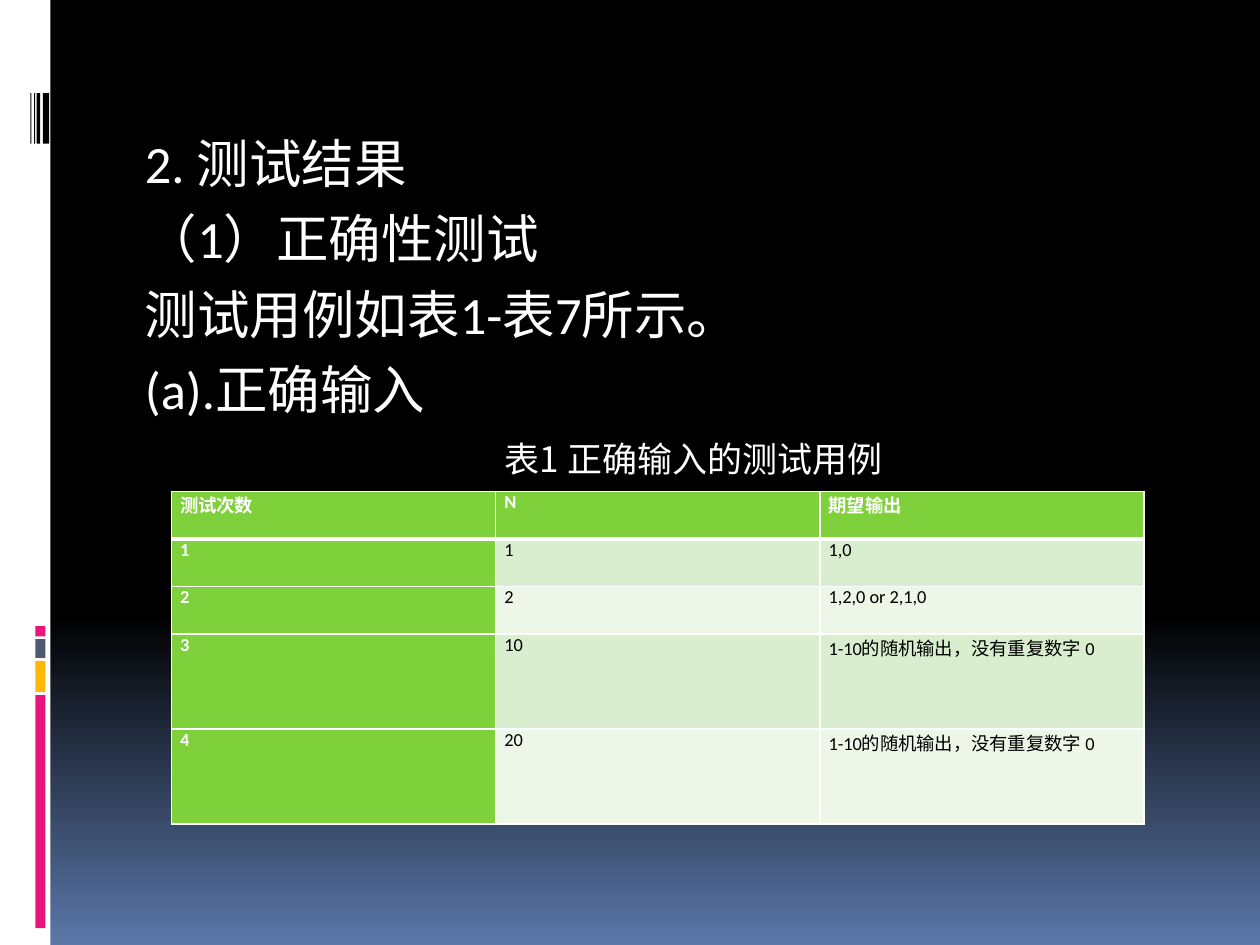
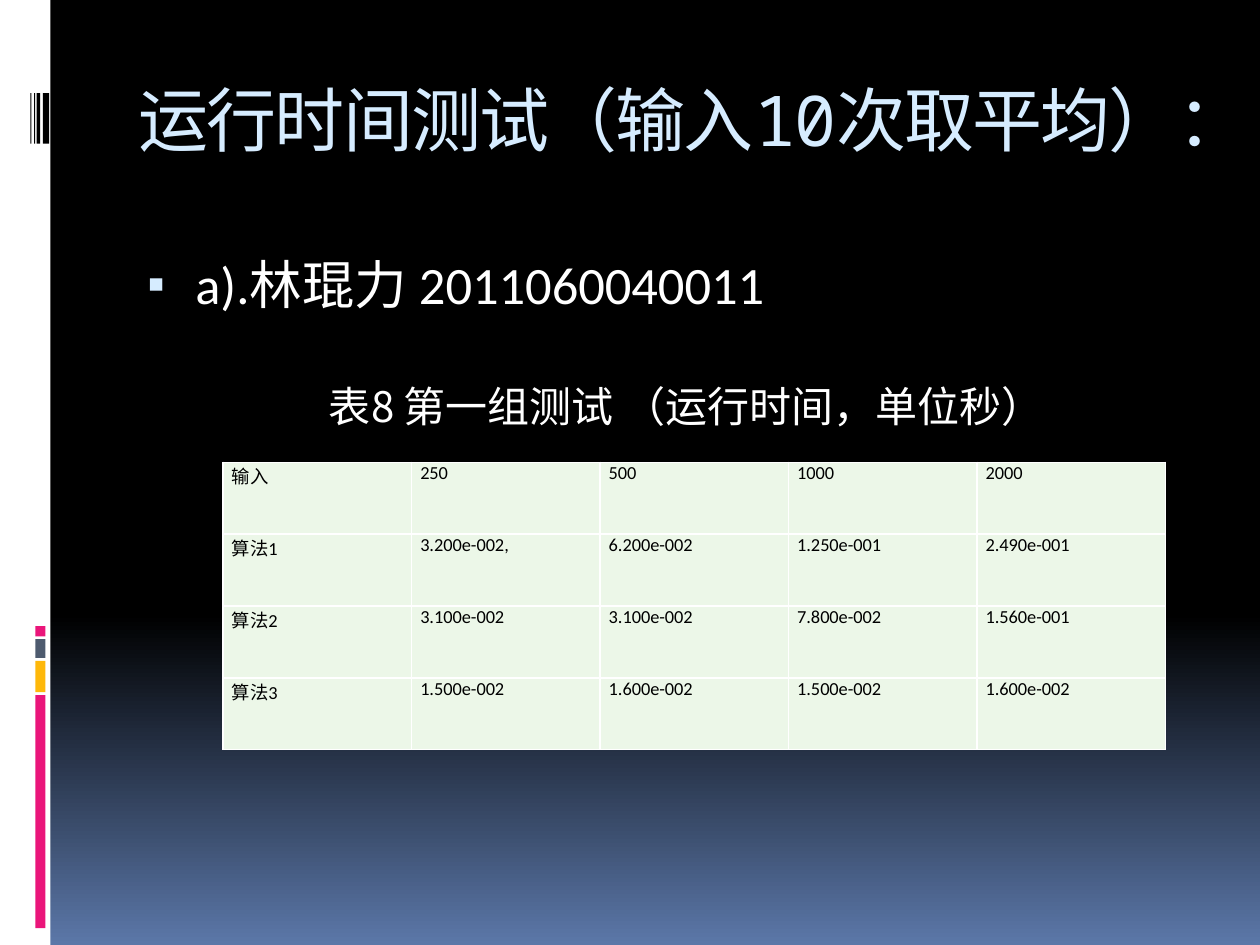
from lxml.etree import SubElement
from pptx import Presentation
from pptx.dml.color import RGBColor
from pptx.enum.shapes import MSO_SHAPE
from pptx.enum.text import MSO_ANCHOR, MSO_AUTO_SIZE, PP_ALIGN
from pptx.oxml.ns import qn
from pptx.util import Inches, Pt

WHITE, BLACK, PINK, PALE_BLUE = "FFFFFF", "000000", "EA157A", "D6ECFF"
GREEN, LIGHT_GREEN, PALE_GREEN = "7FD13B", "D8EECE", "ECF7E8"
LATIN, CHINESE, MONO = "Calibri", "Noto Sans CJK SC", "Noto Sans Mono"


def color(hex_text):
    return RGBColor.from_string(hex_text)


def format_runs(paragraph, size, hex_text, latin, east_asian, bold=False):
    for run in paragraph.runs:
        run.font.size = Pt(size)
        run.font.bold = bold
        run.font.color.rgb = color(hex_text)
        run.font.name = latin
        SubElement(run.font._element, qn("a:ea"), typeface=east_asian)


presentation = Presentation()
presentation.slide_width = Inches(10)
presentation.slide_height = Inches(7.5)
unit = presentation.slide_width / 100

master = presentation.slide_master
background = master.background.fill
background.gradient()
background.gradient_angle = 270
for stop, position, hex_text in zip(background.gradient_stops, (0.65, 1), (BLACK, "5B77A8")):
    stop.position = position
    stop.color.rgb = color(hex_text)

layout = presentation.slide_layouts[1]
result_slide = presentation.slides.add_slide(layout)
timing_slide = presentation.slides.add_slide(layout)

bands = [(0, 0, 4, 75, WHITE)]
top = 49.7
for height, hex_text in ((0.8, PINK), (1.5, "4E5B6F"), (2.5, "FEB80A"), (18.5, PINK)):
    bands.append((2.8, top, 0.8, height, hex_text))
    top += height + 0.22
for left, width in ((2.4, 0.1), (2.7, 0.1), (2.9, 0.3), (3.4, 0.5)):
    bands.append((left, 7.4, width, 4, BLACK))

for index, (left, top, width, height, hex_text) in enumerate(bands):
    band = result_slide.shapes.add_shape(
        MSO_SHAPE.RECTANGLE, *(int(unit * share) for share in (left, top, width, height)))
    band.shadow.inherit = False
    band.fill.solid()
    band.fill.fore_color.rgb = color(hex_text)
    band.line.fill.background()
    master.shapes.element.insert(2 + index, band.element)

empty_title = result_slide.shapes.title.element
empty_title.getparent().remove(empty_title)

title = timing_slide.shapes.title
title.left, title.top, title.width, title.height = (
    int(unit * share) for share in (10, 5.6, 85, 10))
title.text_frame.text = "运行时间测试（输入10次取平均）："
title.text_frame.vertical_anchor = MSO_ANCHOR.TOP
title.text_frame.auto_size = MSO_AUTO_SIZE.NONE
title_paragraph = title.text_frame.paragraphs[0]
title_paragraph.alignment = PP_ALIGN.LEFT
format_runs(title_paragraph, 40, PALE_BLUE, MONO, LATIN)
title_paragraph.runs[0].font._element.set("spc", "-100")

bodies = [
    (result_slide, 9.8, 9.9, False,
     ["2. 测试结果", "（1）正确性测试", "测试用例如表1-表7所示。", "(a).正确输入"]),
    (timing_slide, 10, 19.5, True, ["a).林琨力 2011060040011"]),
]
for slide, left, top, bulleted, lines in bodies:
    body = slide.placeholders[1]
    body.left, body.top, body.width, body.height = (
        int(unit * share) for share in (left, top, 85, 50))
    body.text_frame.text = "\n".join(lines)
    body.text_frame.auto_size = MSO_AUTO_SIZE.NONE
    for index, paragraph in enumerate(body.text_frame.paragraphs):
        paragraph.space_before = Pt(7 if index else 0)
        properties = paragraph._p.get_or_add_pPr()
        properties.set("marL", str(Inches(0.45 if bulleted else 0.07)))
        properties.set("indent", str(Inches(-0.38 if bulleted else 0)))
        if bulleted:
            bullet_color = SubElement(properties, qn("a:buClr"))
            SubElement(bullet_color, qn("a:srgbClr"), val=PALE_BLUE)
            SubElement(properties, qn("a:buSzPct"), val="95000")
            SubElement(properties, qn("a:buChar"), char="▪")
        else:
            SubElement(properties, qn("a:buNone"))
        format_runs(paragraph, 30, WHITE, LATIN, LATIN)

random_output = "1-10的随机输出，没有重复数字 0"
result_rows = [
    ["测试次数", "N", "期望输出"],
    ["1", "1", "1,0"],
    ["2", "2", "1,2,0 or 2,1,0"],
    ["3", "10", random_output],
    ["4", "20", random_output],
]
timing_rows = [
    ["输入", "250", "500", "1000", "2000"],
    ["算法1", "3.200e-002,", "6.200e-002", "1.250e-001", "2.490e-001"],
    ["算法2", "3.100e-002", "3.100e-002", "7.800e-002", "1.560e-001"],
    ["算法3", "1.500e-002", "1.600e-002", "1.500e-002", "1.600e-002"],
]
tables = [
    (result_slide, result_rows, (13.6, 39, 77.2), [3.77] * 3 + [7.54] * 2, True, PP_ALIGN.LEFT),
    (timing_slide, timing_rows, (17.7, 36.7, 74.8), [5.7] * 4, False, PP_ALIGN.JUSTIFY),
]
for slide, rows, (left, top, width), heights, highlighted, alignment in tables:
    table = slide.shapes.add_table(
        len(rows), len(rows[0]),
        *(int(unit * share) for share in (left, top, width, sum(heights)))).table
    for row, height in zip(table.rows, heights):
        row.height = int(unit * height)
    for row_index, values in enumerate(rows):
        for column_index, value in enumerate(values):
            cell = table.cell(row_index, column_index)
            cell.text_frame.text = value
            cell.margin_left = cell.margin_right = Inches(0.07)
            cell.margin_top = cell.margin_bottom = 0
            is_header = highlighted and 0 in (row_index, column_index)
            is_shaded = highlighted and row_index % 2 == 1
            for side in ("L", "R", "T", "B"):
                thick = highlighted and (row_index, side) in ((0, "B"), (1, "T"))
                border = SubElement(cell._tc.get_or_add_tcPr(), qn("a:ln" + side),
                                    w=str(Pt(3 if thick else 1)))
                SubElement(SubElement(border, qn("a:solidFill")), qn("a:srgbClr"), val=WHITE)
            cell.fill.solid()
            cell.fill.fore_color.rgb = color(
                GREEN if is_header else LIGHT_GREEN if is_shaded else PALE_GREEN)
            paragraph = cell.text_frame.paragraphs[0]
            paragraph.alignment = alignment
            format_runs(paragraph, 10.5, WHITE if is_header else BLACK, LATIN, CHINESE, is_header)

captions = [
    (result_slide, "表1 正确输入的测试用例", 20, (36.2, 34.2, 37.7, 4.4)),
    (timing_slide, "表8 第一组测试 （运行时间，单位秒）", 24, (24, 29.7, 60.9, 5)),
]
for slide, text, size, place in captions:
    caption = slide.shapes.add_textbox(*(int(unit * share) for share in place))
    caption.text_frame.text = text
    caption.text_frame.word_wrap = False
    caption.text_frame.auto_size = MSO_AUTO_SIZE.SHAPE_TO_FIT_TEXT
    caption.text_frame.vertical_anchor = MSO_ANCHOR.MIDDLE
    paragraph = caption.text_frame.paragraphs[0]
    paragraph.alignment = PP_ALIGN.CENTER
    format_runs(paragraph, size, WHITE, CHINESE, CHINESE)

presentation.save("out.pptx")
